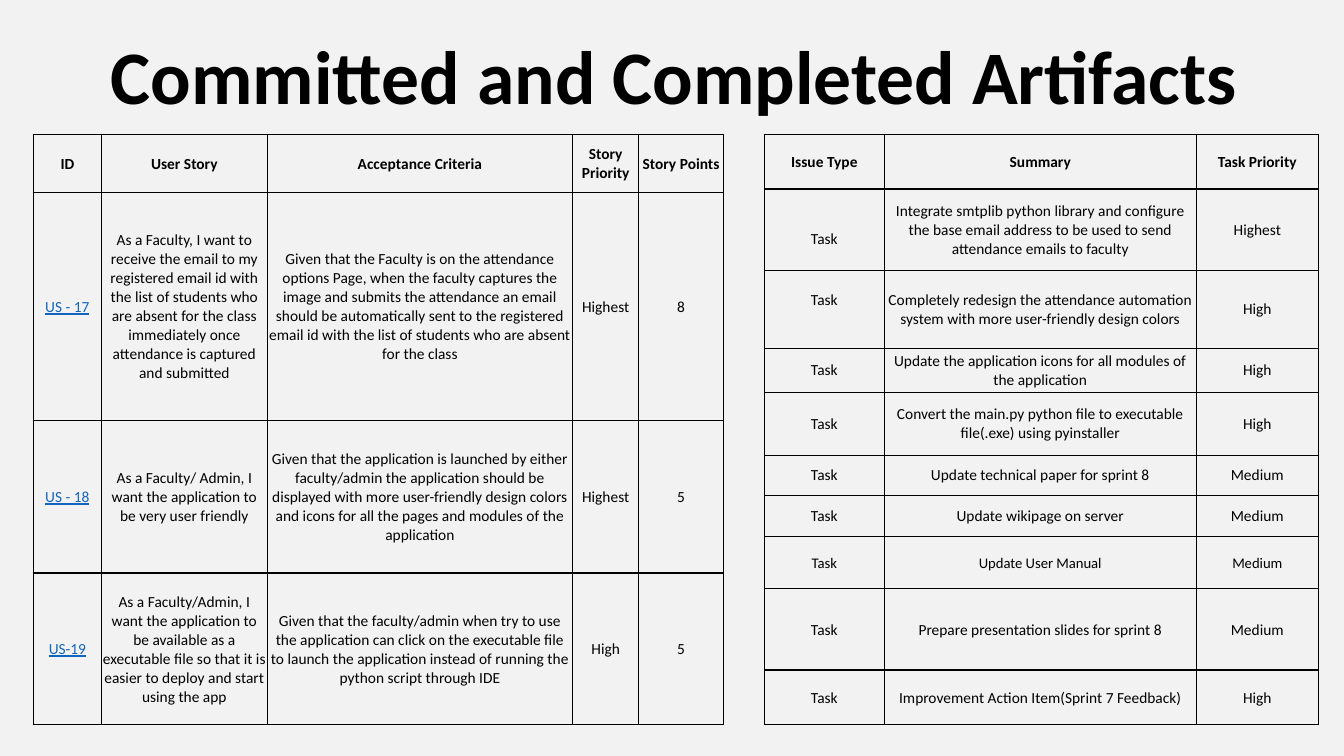
import pptx
import pptx.dml.color
import pptx.enum.text
import pptx.oxml.ns
import pptx.util
import lxml.etree

Pt = pptx.util.Pt
FONT = "Calibri"
BLACK = "000000"
LINK_BLUE = "1265BE"
BACKGROUND = "F2F2F2"
TABLE_TOP = 95.8
CELL_INSET = 0.72
LINE_SHIFT = 14

STORY_COLUMNS = [48.7, 118.4, 218.2, 47.2, 60.5]
STORY_HEIGHTS = [41.9, 162.4, 109.2, 108.4]
STORIES = [
    ["ID", "User Story", "Acceptance Criteria", "Story Priority", "Story Points"],
    ["US - 17",
     "As a Faculty, I want to receive the email to my registered email id with the list of "
     "students who are absent for the class immediately once attendance is captured and submitted",
     "Given that the Faculty is on the attendance options Page, when the faculty captures the "
     "image and submits the attendance an email should be automatically sent to the registered "
     "email id with the list of students who are absent for the class",
     "Highest", "8"],
    ["US - 18",
     "As a Faculty/ Admin, I want the application to be very user friendly",
     "Given that the application is launched by either faculty/admin the application should be "
     "displayed with more user-friendly design colors and icons for all the pages and modules "
     "of the application",
     "Highest", "5"],
    ["US-19",
     "As a Faculty/Admin, I want the application to be available as a executable file so that "
     "it is easier to deploy and start using the app",
     "Given that the faculty/admin when try to use the application can click on the executable "
     "file to launch the application instead of running the python script through IDE",
     "High", "5"],
]

TASK_COLUMNS = [85.7, 222.8, 87.3]
TASK_HEIGHTS = [39.2, 58, 55.7, 31.5, 45, 28.6, 29.3, 37.6, 58, 39]
TASKS = [["Issue Type", "Summary", "Task Priority"]] + [
    ["Task", summary, priority] for summary, priority in [
        ("Integrate smtplib python library and configure the base email address to be used "
         "to send attendance emails to faculty", "Highest"),
        ("Completely redesign the attendance automation system with more user-friendly "
         "design colors", "High"),
        ("Update the application icons for all modules of the application", "High"),
        ("Convert the main.py python file to executable file(.exe) using pyinstaller", "High"),
        ("Update technical paper for sprint 8", "Medium"),
        ("Update wikipage on server", "Medium"),
        ("Update User Manual", "Medium"),
        ("Prepare presentation slides for sprint 8", "Medium"),
        ("Improvement Action Item(Sprint 7 Feedback)", "High"),
    ]
]
USER_MANUAL_ROW = 7


def color(hex_string):
    return pptx.dml.color.RGBColor.from_string(hex_string)


def format_font(paragraph, size, bold=False, hex_string=BLACK):
    paragraph.font.name = FONT
    paragraph.font.size = Pt(size)
    paragraph.font.bold = bold
    paragraph.font.color.rgb = color(hex_string)


def draw_borders(cell):
    properties = cell._tc.get_or_add_tcPr()
    for side in ("a:lnL", "a:lnR", "a:lnT", "a:lnB"):
        line = lxml.etree.SubElement(properties, pptx.oxml.ns.qn(side), w=str(Pt(1)))
        fill = lxml.etree.SubElement(line, pptx.oxml.ns.qn("a:solidFill"))
        lxml.etree.SubElement(fill, pptx.oxml.ns.qn("a:srgbClr"), val=BLACK)


def add_grid(slide, left, top, widths, heights, rows):
    """Place a bordered, centred table with a bold header row."""
    table = slide.shapes.add_table(
        len(rows), len(widths), Pt(left), Pt(top), Pt(sum(widths)), Pt(sum(heights))).table
    table.first_row = table.horz_banding = False
    for column, width in zip(table.columns, widths):
        column.width = Pt(width)
    for row_index, (row, height, texts) in enumerate(zip(table.rows, heights, rows)):
        row.height = Pt(height)
        for cell, text in zip(row.cells, texts):
            draw_borders(cell)
            cell.fill.background()
            cell.margin_left = cell.margin_right = cell.margin_top = Pt(CELL_INSET)
            cell.margin_bottom = 0
            cell.vertical_anchor = pptx.enum.text.MSO_ANCHOR.MIDDLE
            cell.text = text
            paragraph = cell.text_frame.paragraphs[0]
            paragraph.alignment = pptx.enum.text.PP_ALIGN.CENTER
            format_font(paragraph, 11, bold=row_index == 0)
    return table


def add_title(slide, left, top, width, height):
    title = slide.shapes.title
    title.left, title.top, title.width, title.height = map(Pt, (left, top, width, height))
    frame = title.text_frame
    frame.text = "Committed and Completed Artifacts"
    frame.word_wrap = True
    frame.auto_size = pptx.enum.text.MSO_AUTO_SIZE.SHAPE_TO_FIT_TEXT
    frame.vertical_anchor = pptx.enum.text.MSO_ANCHOR.TOP
    paragraph = frame.paragraphs[0]
    paragraph.alignment = pptx.enum.text.PP_ALIGN.LEFT
    format_font(paragraph, 54, bold=True)


def add_story_table(slide, left, top):
    table = add_grid(slide, left, top, STORY_COLUMNS, STORY_HEIGHTS, STORIES)
    # Story identifiers are styled as links
    for row_index in range(1, len(STORIES)):
        font = table.cell(row_index, 0).text_frame.paragraphs[0].font
        font.underline = True
        font.color.rgb = color(LINK_BLUE)


def add_task_table(slide, left, top):
    table = add_grid(slide, left, top, TASK_COLUMNS, TASK_HEIGHTS, TASKS)
    # The first two task labels sit half a line below and above the middle
    table.cell(1, 0).margin_top = Pt(LINE_SHIFT)
    table.cell(2, 0).margin_bottom = Pt(LINE_SHIFT)
    for cell in table.rows[USER_MANUAL_ROW].cells:
        cell.text_frame.paragraphs[0].font.size = Pt(10.5)


def main():
    presentation = pptx.Presentation()
    presentation.slide_width, presentation.slide_height = Pt(960), Pt(540)
    slide = presentation.slides.add_slide(presentation.slide_layouts[5])
    slide.background.fill.solid()
    slide.background.fill.fore_color.rgb = color(BACKGROUND)
    add_title(slide, 72, 17.3, 828, 72.7)
    add_story_table(slide, 23.8, TABLE_TOP)
    add_task_table(slide, 546, TABLE_TOP)
    presentation.save("out.pptx")


if __name__ == "__main__":
    main()
